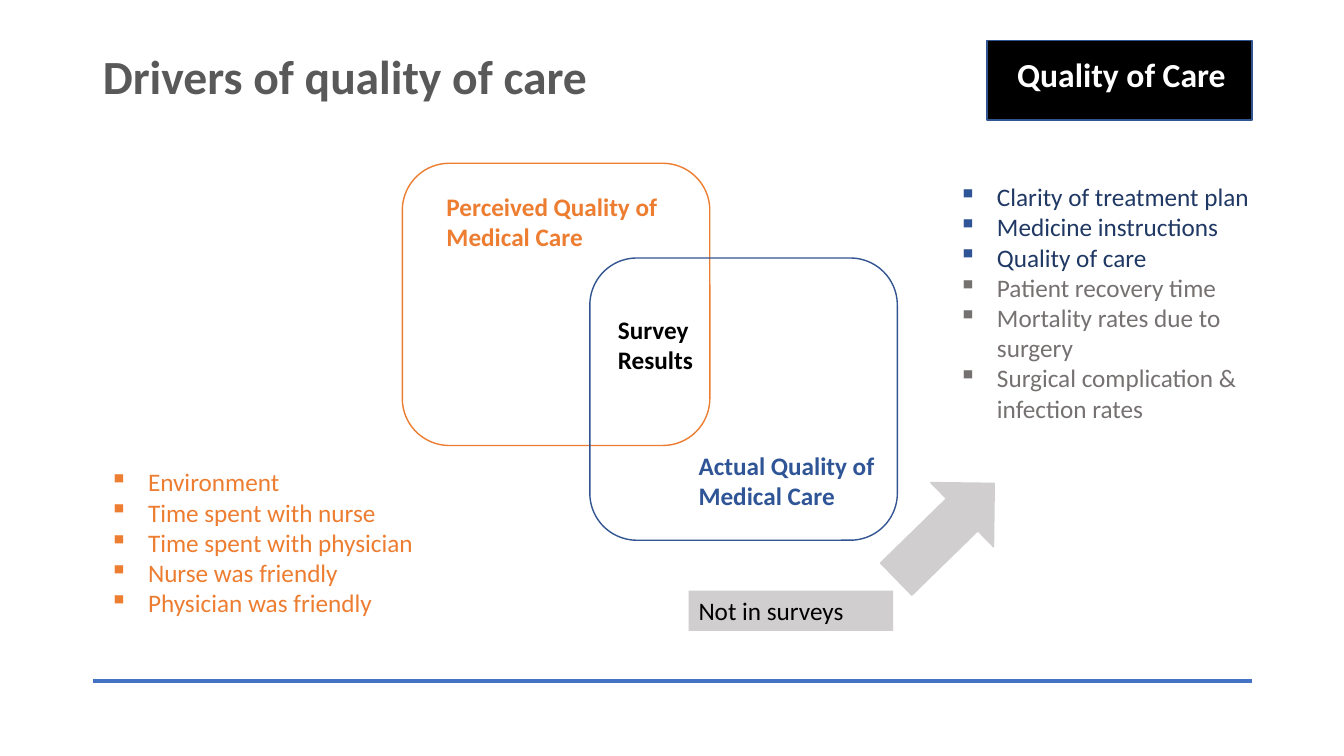
from lxml import etree
from pptx import Presentation
from pptx.dml.color import RGBColor
from pptx.enum.shapes import MSO_CONNECTOR, MSO_SHAPE
from pptx.enum.text import MSO_ANCHOR, PP_ALIGN
from pptx.oxml.ns import qn
from pptx.util import Pt

RECTANGLE = MSO_SHAPE.RECTANGLE
ROUNDED = MSO_SHAPE.ROUNDED_RECTANGLE
DOWN_ARROW = MSO_SHAPE.DOWN_ARROW
STRAIGHT = MSO_CONNECTOR.STRAIGHT
LEFT = PP_ALIGN.LEFT
TOP = MSO_ANCHOR.TOP
MIDDLE = MSO_ANCHOR.MIDDLE

BLACK = RGBColor(0x00, 0x00, 0x00)
WHITE = RGBColor(0xFF, 0xFF, 0xFF)
TITLE_GREY = RGBColor(0x59, 0x59, 0x59)
GREY = RGBColor(0x76, 0x71, 0x71)
LIGHT_GREY = RGBColor(0xD0, 0xCE, 0xCE)
ORANGE = RGBColor(0xED, 0x7D, 0x31)
RULE_BLUE = RGBColor(0x44, 0x72, 0xC4)
OUTLINE_BLUE = RGBColor(0x32, 0x54, 0x91)
BLUE = RGBColor(0x2F, 0x55, 0x97)
NAVY = RGBColor(0x20, 0x38, 0x64)

EMU_PER_PX = 9144
BULLET_INDENT = 38


def px(*lengths):
    return [length * EMU_PER_PX for length in lengths]


class CareSlide:
    font_name = "Calibri"
    text_size = 18

    def __init__(self, presentation):
        self.slide = presentation.slides.add_slide(presentation.slide_layouts[5])
        self.shapes = self.slide.shapes

    def style(self, paragraph, color, size=text_size, bold=False):
        paragraph.alignment = LEFT
        font = paragraph.font
        font.name, font.size, font.bold = self.font_name, Pt(size), bold
        font.color.rgb = color

    def title(self, box, wording):
        heading = self.shapes.title
        heading.left, heading.top, heading.width, heading.height = px(*box)
        heading.text_frame.text = wording
        heading.text_frame.vertical_anchor = MIDDLE
        self.style(heading.text_frame.paragraphs[0], TITLE_GREY, 34, True)

    def rule(self, start, end, color, weight):
        line = self.shapes.add_connector(STRAIGHT, *px(*start, *end))
        line.line.color.rgb = color
        line.line.width = Pt(weight)
        etree.SubElement(line._element.spPr, qn("a:effectLst"))

    def shape(self, kind, box, fill=None, outline=None):
        figure = self.shapes.add_shape(kind, *px(*box))
        figure.shadow.inherit = False
        if fill is None:
            figure.fill.background()
        else:
            figure.fill.solid()
            figure.fill.fore_color.rgb = fill
        if outline is None:
            figure.line.fill.background()
        else:
            figure.line.color.rgb = outline
            figure.line.width = Pt(1)
        return figure

    def label(self, box, wording, color, size=text_size, bold=True):
        frame = self.shapes.add_textbox(*px(*box)).text_frame
        frame.word_wrap = True
        frame.text = wording
        self.style(frame.paragraphs[0], color, size, bold)

    def tag(self, box, wording, fill):
        frame = self.shape(RECTANGLE, box, fill).text_frame
        frame.text = wording
        frame.vertical_anchor = TOP
        self.style(frame.paragraphs[0], BLACK)

    def bullets(self, box, items, wrap=True):
        frame = self.shapes.add_textbox(*px(*box)).text_frame
        frame.word_wrap = wrap
        frame.text = "\n".join(wording for wording, _, _ in items)
        for paragraph, (_, color, bullet_color) in zip(frame.paragraphs, items):
            properties = paragraph._p.get_or_add_pPr()
            indent, = px(BULLET_INDENT)
            properties.set("marL", str(indent))
            properties.set("indent", str(-indent))
            tint = etree.SubElement(properties, qn("a:buClr"))
            etree.SubElement(tint, qn("a:srgbClr"), val=str(bullet_color))
            etree.SubElement(properties, qn("a:buChar"), char="▪")
            self.style(paragraph, color)


def main():
    presentation = Presentation()
    presentation.slide_width, presentation.slide_height = px(1333, 750)
    care = CareSlide(presentation)

    care.rule((92, 676), (1242, 676), RULE_BLUE, 3)
    care.title((92, 35, 1150, 79), "Drivers of quality of care")
    care.shape(RECTANGLE, (979, 40, 263, 79), BLACK, OUTLINE_BLUE)
    care.label((999, 49, 242, 50), "Quality of Care", WHITE, 24)

    care.shape(ROUNDED, (399, 162, 305, 280), outline=ORANGE)
    care.shape(ROUNDED, (585, 256, 305, 280), outline=OUTLINE_BLUE)
    care.label((433, 185, 305, 71), "Perceived Quality of Medical Care", ORANGE)
    care.label((683, 442, 251, 71), "Actual Quality of Medical Care", BLUE)
    care.label((603, 307, 118, 71), "Survey Results", BLACK)

    perceived_drivers = ["Environment", "Time spent with nurse", "Time spent with physician",
                         "Nurse was friendly", "Physician was friendly"]
    surveyed_drivers = ["Clarity of treatment plan", "Medicine instructions", "Quality of care"]
    unsurveyed_drivers = ["Patient recovery time", "Mortality rates due to surgery",
                          "Surgical complication & infection rates"]
    care.bullets((99, 458, 324, 162),
                 [(driver, ORANGE, ORANGE) for driver in perceived_drivers], wrap=False)
    care.bullets((941, 175, 348, 283),
                 [(driver, NAVY, BLUE) for driver in surveyed_drivers]
                 + [(driver, GREY, GREY) for driver in unsurveyed_drivers])

    care.shape(DOWN_ARROW, (893, 459, 89, 136), LIGHT_GREY, LIGHT_GREY).rotation = 225.7
    care.tag((683, 586, 203, 40), "Not in surveys", LIGHT_GREY)

    presentation.save("out.pptx")


if __name__ == "__main__":
    main()
